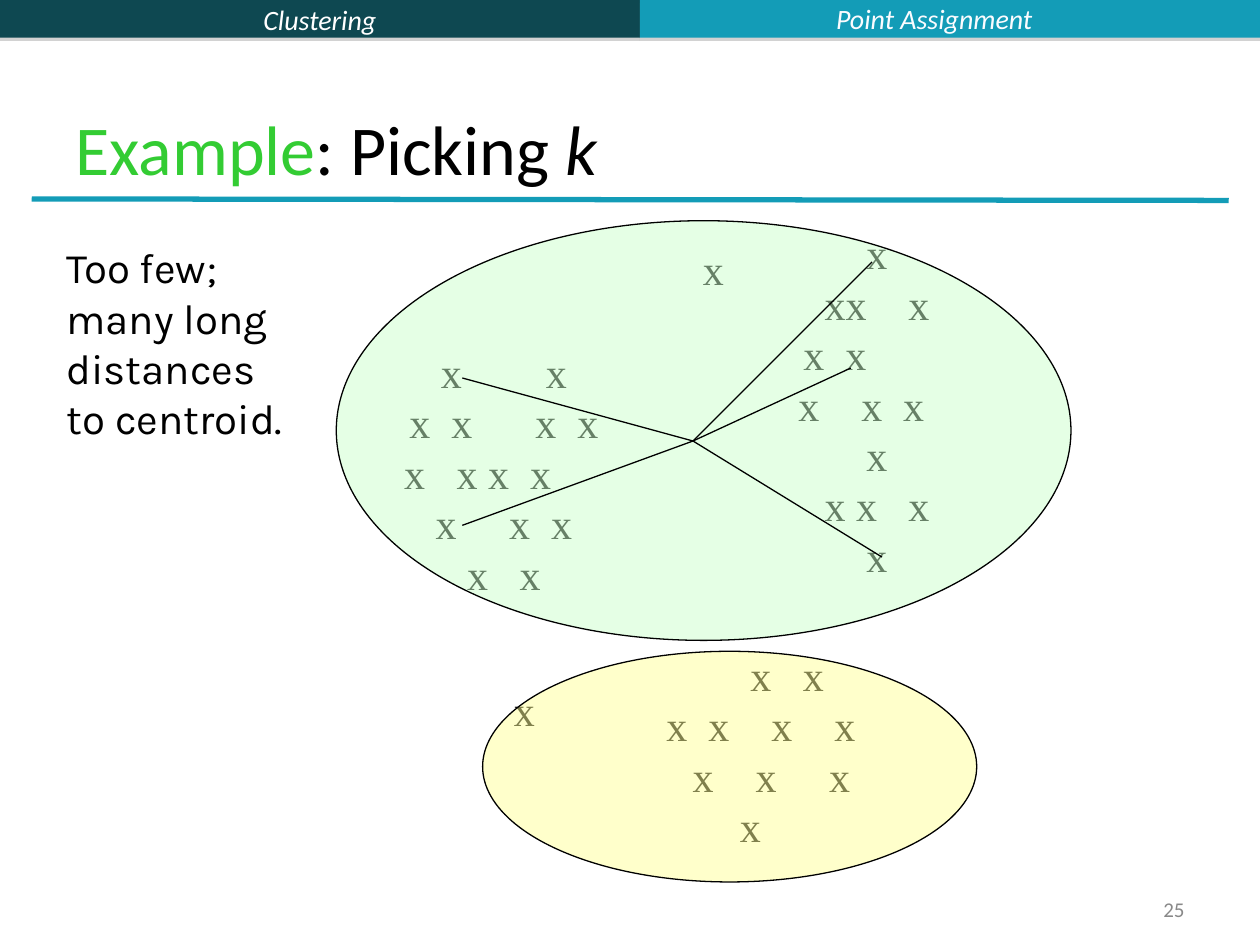
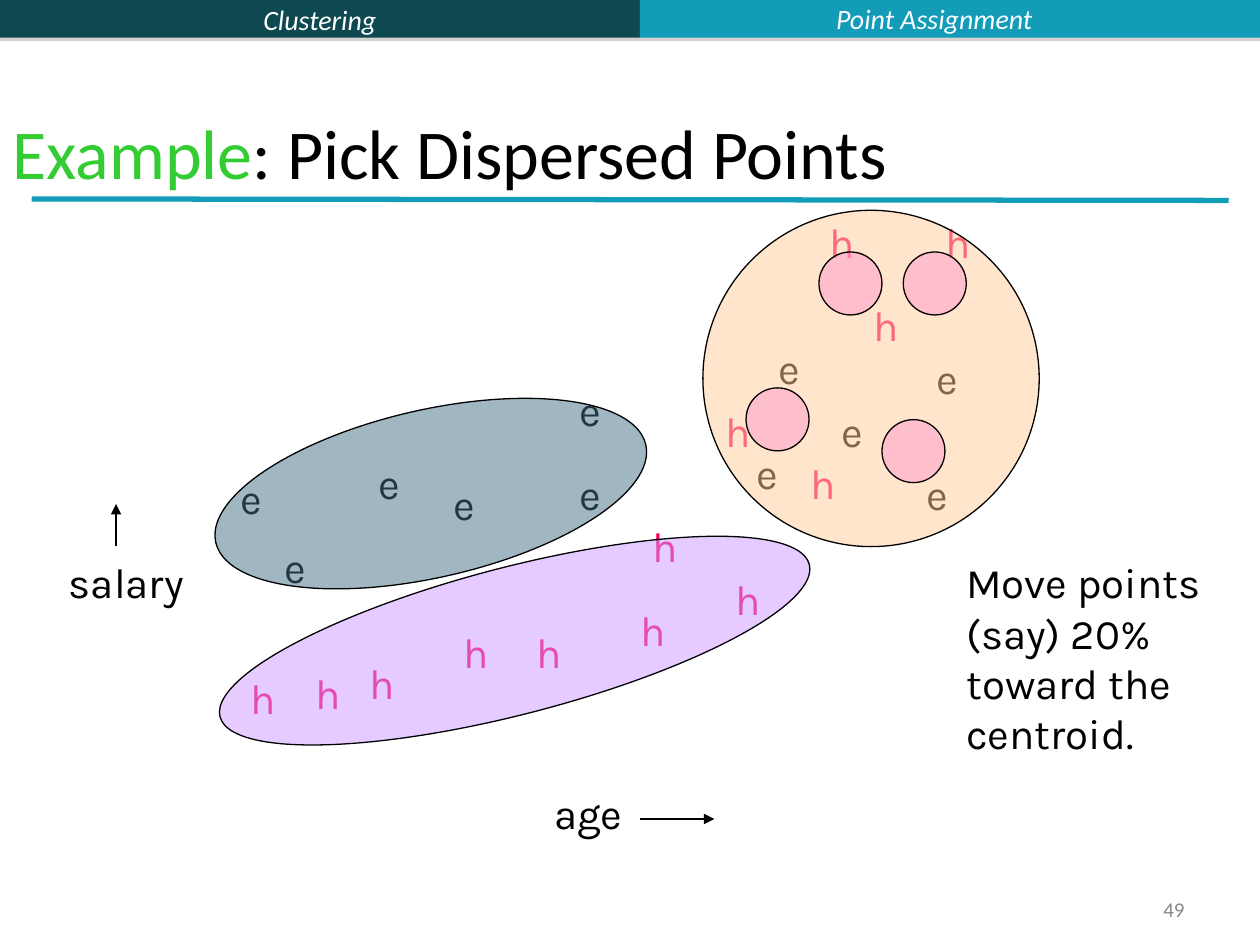
import pptx
import pptx.util
import pptx.dml.color
import pptx.enum.shapes
import pptx.enum.text
import pptx.oxml
import pptx.oxml.ns

Cm, Pt = pptx.util.Cm, pptx.util.Pt
RGB = pptx.dml.color.RGBColor.from_string
Align = pptx.enum.text.PP_ALIGN
Anchor = pptx.enum.text.MSO_ANCHOR
Kind = pptx.enum.shapes.MSO_SHAPE
qn = pptx.oxml.ns.qn
NS = pptx.oxml.ns.nsdecls("a")

# Theme: colours, and text looks as (colour, font values)
theme = {
    "dark": "0E4851", "teal": "139CB7", "ink": "000000",
    "green": "CCFFCC", "yellow": "FFFF99", "slate": "437085",
    "peach": "FFCC99", "violet": "CC99FF", "pink": "FF99CC",
    "lead": ("33CC33", {"name": "Calibri", "size": Pt(40)}),
    "head": ("000000", {"name": "Calibri", "size": Pt(40)}),
    "slant": ("000000", {"name": "Calibri", "size": Pt(40), "italic": True}),
    "band": ("FFFFFF", {"name": "Calibri", "size": Pt(16), "italic": True}),
    "topic": ("FBFCFF", {"name": "Calibri", "size": Pt(16), "italic": True}),
    "page": ("898989", {"name": "Calibri", "size": Pt(12)}),
    "note": ("000000", {"name": "Karla", "size": Pt(24)}),
    "hot": ("FF0066", {"name": "Karla", "size": Pt(24)}),
    "mark": ("000000", {"name": "Times New Roman", "size": Pt(24)}),
}
PITCH = Pt(28.8)   # line step of marks and notes
CELL = 2.54 / 12   # a dot in a pattern is one cell, an x is two


def add_run(para, text, look):
    run = para.add_run()
    run.text = text
    color, values = theme[look]
    for key, val in values.items():
        setattr(run.font, key, val)
    run.font.color.rgb = RGB(color)


def write(shape, lines, look, wrap=True, **form):
    frame = shape.text_frame
    frame.word_wrap = wrap
    frame.vertical_anchor = form.pop("anchor", Anchor.TOP)
    for i, text in enumerate(lines):
        para = frame.paragraphs[0] if i == 0 else frame.add_paragraph()
        for key, val in {"alignment": Align.LEFT, **form}.items():
            setattr(para, key, val)
        add_run(para, text, look)
    return frame


# Slide content, lengths in centimetres
HUB = (13.97, 8.89)
DOT = 1.27
pages = [
    {
        "title": [("Example", "lead"), (": Picking ", "head"), ("k", "slant")],
        "place": (1.27, 0.76, 22.86, 3.18),
        "number": "25",
        "groups": [
            ((7.62, 6.35, 5.08, 6.35),
             ["x........x", "x..x......x..x", "x...x.x..x.....",
              "x.....x..x", "x...x"]),
            ((15.24, 4.24, 4.88, 7.82),
             ["x", "xx....x", "x..x........", "x....x..x...",
              "x", "x.x...x", "x"]),
            ((12.7, 12.9, 5.28, 4.45),
             [".....x...x", "x..x....x....x", "..x....x.....x", "x.."]),
        ],
        "marks": [("x", "mark", [(13.92, 4.78), (10.11, 13.67)])],
        "ovals": [((6.78, 4.45, 14.81, 8.46), "green", 0),
                  ((9.73, 13.13, 9.96, 4.65), "yellow", 0)],
        "lines": [(HUB, end, False) for end in
                  [(9.32, 7.62), (9.32, 10.59), (17.78, 11.23),
                   (17.15, 7.42), (17.58, 5.28)]],
        "notes": [((1.09, 4.75, 5.08, 4.32),
                   ["Too few;", "many long", "distances", "to centroid."])],
    },
    {
        "title": [("Example", "lead"), (": Pick Dispersed Points", "head")],
        "place": (0, 0.84, 25.4, 3.18),
        "number": "49",
        "groups": [],
        "marks": [
            ("e", "note",
             [(4.6, 9.4), (8.89, 9.53), (11.43, 7.62), (15.01, 8.89),
              (15.44, 6.78), (18.62, 6.99), (5.49, 10.8), (7.39, 9.09),
              (11.43, 9.32), (16.71, 8.05), (18.42, 9.32)]),
            ("h", "hot",
             [(4.8, 13.44), (14.38, 8.05), (14.58, 11.43), (16.08, 9.09),
              (17.35, 5.92), (18.82, 4.24), (9.09, 12.5), (10.57, 12.5),
              (12.9, 10.36), (12.67, 12.07), (16.48, 4.24), (6.12, 13.34),
              (7.19, 13.13)]),
        ],
        "ovals": [((4.24, 8.26, 8.89, 3.38), "slate", -12.8),
                  ((14.17, 4.24, 6.78, 6.78), "peach", 0),
                  ((4.24, 11.43, 12.27, 2.97), "violet", -14.5)]
                 + [((x, y, DOT, DOT), "pink", 0) for x, y in
                    [(16.51, 5.08), (18.21, 5.08), (15.04, 7.82),
                     (17.78, 8.46)]],
        "lines": [((12.9, 16.51), (14.4, 16.51), True),
                  ((2.34, 11), (2.34, 10.16), True)],
        "notes": [((1.14, 11.1, 2.84, 1.27), ["salary"]),
                  ((10.92, 15.75, 1.98, 1.27), ["age"]),
                  ((19.23, 11.1, 5.38, 4.32),
                   ["Move points", "(say) 20%", "toward the", "centroid."])],
    },
]
bands = [(0, 12.9, "dark"), (12.9, 12.5, "teal")]
rule = ((0.64, 4.01), (24.77, 4.04), False)

deck = pptx.Presentation()
deck.slide_width, deck.slide_height = Cm(25.4), Cm(19.05)

for page in pages:
    slide = deck.slides.add_slide(deck.slide_layouts[5])
    shapes = slide.shapes

    # Top bands
    for left, width, color in bands:
        band = shapes.add_shape(Kind.RECTANGLE, Cm(left), 0, Cm(width), Cm(0.76))
        band.fill.solid()
        band.fill.fore_color.rgb = RGB(theme[color])
        band.line.fill.background()
        band.shadow.inherit = False
        band._element.spPr.find(qn("a:effectLst")).append(pptx.oxml.parse_xml(
            f'<a:outerShdw {NS} dist="22860" dir="5400000" rotWithShape="0">'
            '<a:srgbClr val="808080"><a:alpha val="35000"/></a:srgbClr>'
            '</a:outerShdw>'))
        if left == 0:
            write(band, ["Clustering"], "band", alignment=Align.CENTER,
                  anchor=Anchor.MIDDLE)
    topic = shapes.add_textbox(Cm(12.27), 0, Cm(13.13), Cm(0.74))
    write(topic, ["Point Assignment"], "topic", alignment=Align.CENTER,
          anchor=Anchor.MIDDLE)

    # Title and page number
    title = shapes.title
    title.left, title.top, title.width, title.height = map(Cm, page["place"])
    frame = title.text_frame
    frame.vertical_anchor = Anchor.BOTTOM
    frame.auto_size = pptx.enum.text.MSO_AUTO_SIZE.NONE
    frame.paragraphs[0].alignment = Align.LEFT
    for text, look in page["title"]:
        add_run(frame.paragraphs[0], text, look)
    number = shapes.add_textbox(Cm(18.21), Cm(17.98), Cm(5.92), Cm(0.69))
    write(number, [page["number"]], "page", alignment=Align.RIGHT,
          anchor=Anchor.MIDDLE)

    # Groups of points: each pattern row is centred, with a tab stop per point
    for place, rows in page["groups"]:
        box = shapes.add_textbox(*map(Cm, place))
        texts, stops = [], []
        for row in rows:
            pos = place[2] / 2 - CELL * (len(row) + row.count("x")) / 2
            text, tabs, last = "", [], "."
            for sign in row:
                if sign == "x":
                    if last != "x":
                        tabs.append(pos)
                        text += "\t"
                    text += "x"
                pos += CELL * (2 if sign == "x" else 1)
                last = sign
            texts.append(text)
            stops.append(tabs)
        frame = write(box, texts, "mark", line_spacing=PITCH,
                      anchor=Anchor.MIDDLE)
        frame.margin_left = frame.margin_right = 0
        for para, tabs in zip(frame.paragraphs, stops):
            items = "".join(f'<a:tab pos="{Cm(t)}" algn="l"/>' for t in tabs)
            para._p.get_or_add_pPr().append(
                pptx.oxml.parse_xml(f"<a:tabLst {NS}>{items}</a:tabLst>"))

    # Single points
    for sign, look, spots in page["marks"]:
        for x, y in spots:
            box = shapes.add_textbox(Cm(x), Cm(y), Cm(1), Cm(1.27))
            write(box, [sign], look, wrap=False, line_spacing=PITCH)

    # Cluster ovals, half clear
    for place, color, turn in page["ovals"]:
        oval = shapes.add_shape(Kind.OVAL, *map(Cm, place))
        oval.rotation = turn
        oval.shadow.inherit = False
        oval.fill.solid()
        oval.fill.fore_color.rgb = RGB(theme[color])
        oval._element.spPr.find(qn("a:solidFill"))[0].append(
            pptx.oxml.parse_xml(f'<a:alpha {NS} val="50000"/>'))
        oval.line.color.rgb = RGB(theme["ink"])
        oval.line.width = Pt(0.75)

    # Title rule, rays and axis arrows
    for start, end, arrow in [rule] + page["lines"]:
        line = shapes.add_connector(pptx.enum.shapes.MSO_CONNECTOR.STRAIGHT,
                                    *map(Cm, start + end))
        top = start == rule[0]
        line.line.color.rgb = RGB(theme["teal" if top else "ink"])
        line.line.width = Pt(3 if top else 0.75)
        if arrow:
            line.line._get_or_add_ln().append(
                pptx.oxml.parse_xml(f'<a:tailEnd {NS} type="triangle"/>'))
        line._element.spPr.append(pptx.oxml.parse_xml(f"<a:effectLst {NS}/>"))

    # Notes and axis names
    for place, lines in page["notes"]:
        box = shapes.add_textbox(*map(Cm, place))
        write(box, lines, "note", wrap=False, line_spacing=PITCH)

deck.save("out.pptx")
